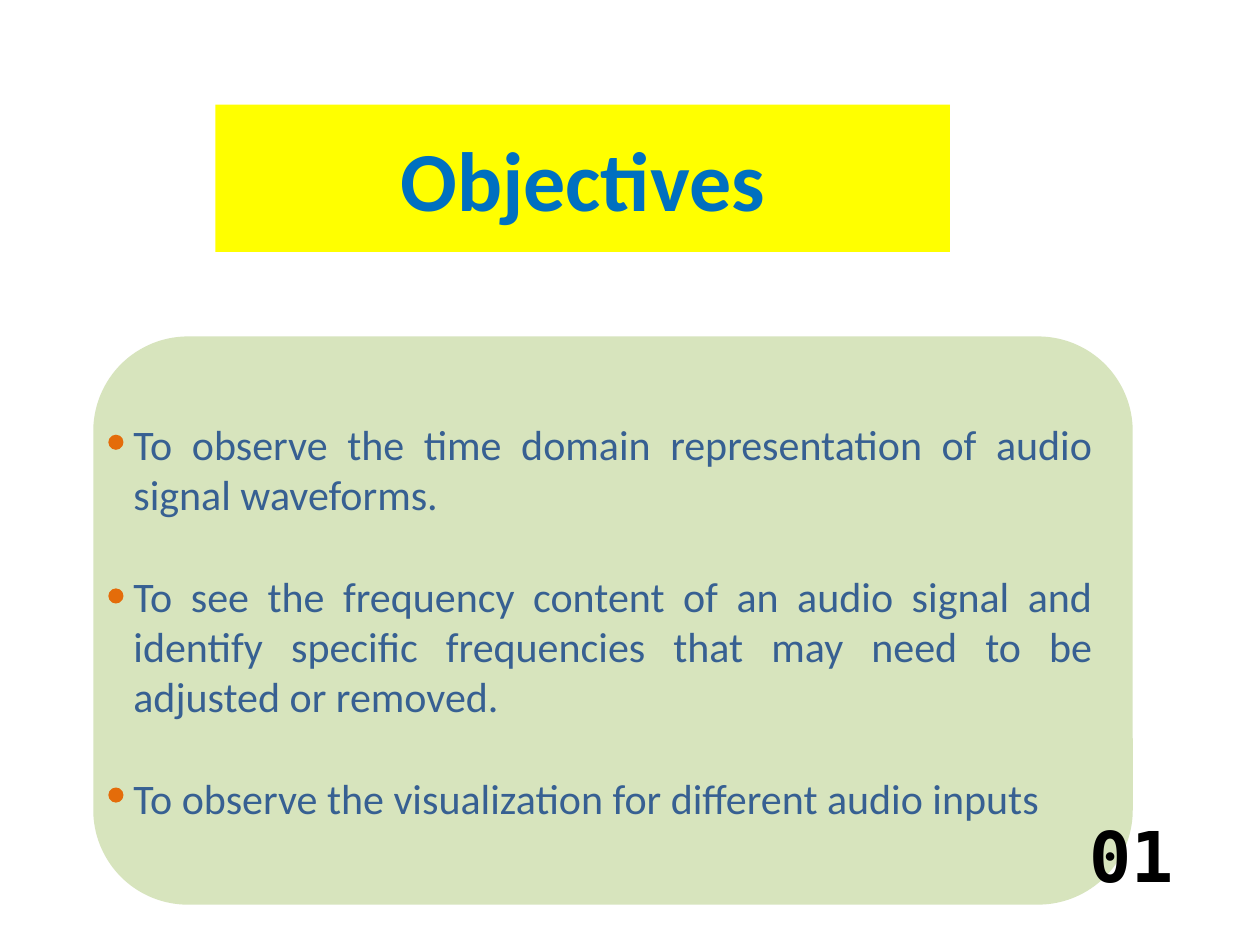
from dataclasses import dataclass

from lxml.etree import SubElement
from pptx import Presentation
from pptx.dml.color import RGBColor
from pptx.enum.shapes import MSO_SHAPE
from pptx.enum.text import MSO_ANCHOR, MSO_AUTO_SIZE, PP_ALIGN
from pptx.oxml.ns import qn
from pptx.util import Inches, Pt


@dataclass(frozen=True)
class Theme:
    """Colours, fonts and type sizes of the slide."""
    title_fill: str = "FFFF00"
    title_text: str = "0070C0"
    panel_fill: str = "D7E4BD"
    panel_text: str = "376092"
    bullet: str = "E46C0A"
    number_text: str = "000000"
    font: str = "Calibri"
    number_font: str = "DejaVu Sans Mono"
    title_size: int = 48
    body_size: int = 24
    number_size: int = 40
    goal_gap: float = 29.3  # one line of body text


def write_text(shape, *lines, size, color, font, bold=False,
               align=PP_ALIGN.LEFT, anchor=MSO_ANCHOR.MIDDLE, wrap=True, gap=0):
    """Write one paragraph per line, with a gap in points between them."""
    frame = shape.text_frame
    frame.word_wrap = wrap
    frame.vertical_anchor = anchor
    for index, line in enumerate(lines):
        para = frame.add_paragraph() if index else frame.paragraphs[0]
        para.alignment = align
        para.space_before = Pt(gap if index else 0)
        span = para.add_run()
        span.text = line
        span.font.size = Pt(size)
        span.font.name = font
        span.font.bold = bold
        span.font.color.rgb = RGBColor.from_string(color)


def add_filled_shape(page, kind, left, top, width, height, color):
    """Add a flat shape without outline, measured in inches."""
    shape = page.shapes.add_shape(
        kind, Inches(left), Inches(top), Inches(width), Inches(height))
    shape.shadow.inherit = False
    shape.fill.solid()
    shape.fill.fore_color.rgb = RGBColor.from_string(color)
    shape.line.fill.background()
    return shape


theme = Theme()
deck = Presentation()
deck.slide_width, deck.slide_height = Inches(10), Inches(7.5)
page = deck.slides.add_slide(deck.slide_layouts.get_by_name("Title Only"))

# Title placeholder with a rounded outline
title = page.shapes.title
title.left, title.top = Inches(1.71), Inches(0.83)
title.width, title.height = Inches(5.83), Inches(1.17)
outline = SubElement(title.element.spPr, qn("a:prstGeom"), prst="roundRect")
SubElement(outline, qn("a:avLst"))
title.adjustments[0] = 0.492
title.fill.solid()
title.fill.fore_color.rgb = RGBColor.from_string(theme.title_fill)
title.text_frame.auto_size = MSO_AUTO_SIZE.NONE
write_text(title, "Objectives", size=theme.title_size, color=theme.title_text,
           font=theme.font, bold=True, align=PP_ALIGN.CENTER)

# Panel of goals
goals = [
    "To observe the time domain representation of audio signal waveforms.",
    "To see the frequency content of an audio signal and identify specific "
    "frequencies that may need to be adjusted or removed.",
    "To observe the visualization for different audio inputs",
]
panel = add_filled_shape(page, MSO_SHAPE.ROUNDED_RECTANGLE,
                         0.74, 2.67, 8.25, 4.51, theme.panel_fill)
write_text(panel, *goals, size=theme.body_size, color=theme.panel_text,
           font=theme.font, align=PP_ALIGN.JUSTIFY, gap=theme.goal_gap)

# One dot beside the first line of each goal
for dot_top in (3.45, 4.67, 6.25):
    add_filled_shape(page, MSO_SHAPE.OVAL, 0.86, dot_top, 0.12, 0.12, theme.bullet)

# Page number
number = page.shapes.add_textbox(Inches(8.55), Inches(6.4), Inches(0.88), Inches(0.77))
number.text_frame.auto_size = MSO_AUTO_SIZE.SHAPE_TO_FIT_TEXT
write_text(number, "01", size=theme.number_size, color=theme.number_text,
           font=theme.number_font, bold=True, anchor=MSO_ANCHOR.TOP, wrap=False)

deck.save("out.pptx")
